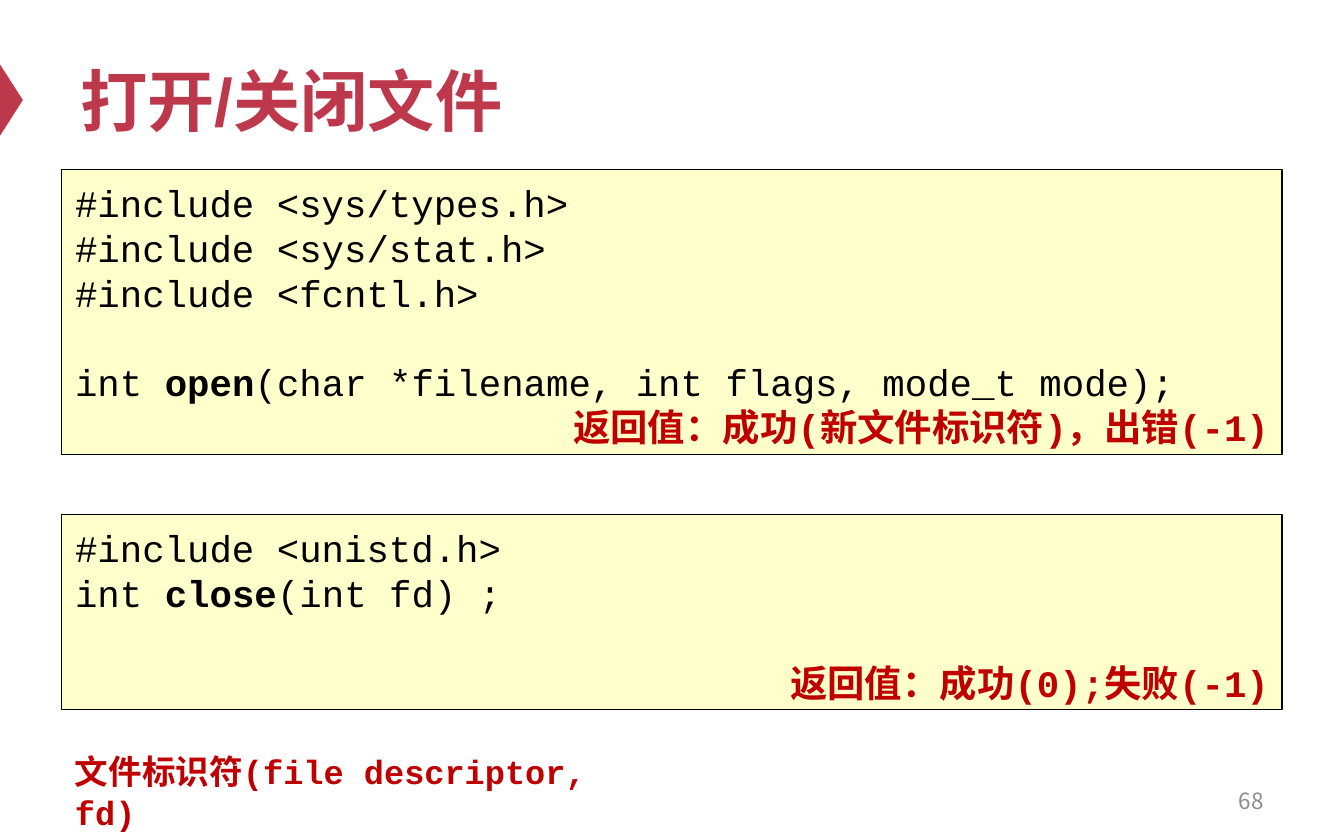
from dataclasses import dataclass

from lxml import etree
from pptx import Presentation
from pptx.dml.color import RGBColor
from pptx.enum.shapes import MSO_SHAPE
from pptx.enum.text import MSO_ANCHOR, PP_ALIGN
from pptx.oxml.ns import qn
from pptx.util import Inches, Pt

TRIANGLE, RECT = MSO_SHAPE.ISOSCELES_TRIANGLE, MSO_SHAPE.RECTANGLE
LEFT, RIGHT = PP_ALIGN.LEFT, PP_ALIGN.RIGHT
TOP, MIDDLE = MSO_ANCHOR.TOP, MSO_ANCHOR.MIDDLE


@dataclass(frozen=True)
class Theme:
    accent: RGBColor = RGBColor(0xBE, 0x38, 0x4B)
    panel: RGBColor = RGBColor(0xFF, 0xFF, 0xCC)
    ink: RGBColor = RGBColor(0, 0, 0)
    result: RGBColor = RGBColor(0xC0, 0, 0)
    muted: RGBColor = RGBColor(0x8C, 0x8C, 0x8C)
    sans: str = "Arial"
    mono: str = "Courier New"
    chinese: str = "Noto Sans CJK SC"
    title: int = 36
    code: int = 20
    code_line: int = 24
    note: int = 18
    number: int = 12


THEME = Theme()


def style(p, font, size, color, bold=None, align=LEFT):
    p.alignment = align
    p.font.name = font
    p.font.size = Pt(size)
    p.font.color.rgb = color
    p.font.bold = bold
    ea = etree.SubElement(p._p.pPr.find(qn("a:defRPr")), qn("a:ea"))
    ea.set("typeface", THEME.chinese)


def add_label(s, box, text, anchor, *look):
    tf = s.shapes.add_textbox(*map(Inches, box)).text_frame
    tf.word_wrap = True
    tf.vertical_anchor = anchor
    p = tf.paragraphs[0]
    p.text = text
    style(p, *look)


def add_plain_shape(s, kind, box, fill):
    sp = s.shapes.add_shape(kind, *map(Inches, box))
    sp.shadow.inherit = False
    sp.fill.solid()
    sp.fill.fore_color.rgb = fill
    sp.line.fill.background()
    return sp


def add_header(s, box, text):
    left, top, width, height = box
    marker = add_plain_shape(s, TRIANGLE, (left - 0.68, top + 0.41, 0.53, 0.17), THEME.accent)
    marker.rotation = 90
    add_label(s, box, text, MIDDLE, THEME.sans, THEME.title, THEME.accent, True)


def add_code_panel(s, box, includes, signature, result, gap_before):
    sp = add_plain_shape(s, RECT, box, THEME.panel)
    sp.line.color.rgb = THEME.ink
    sp.line.width = Pt(0.75)
    tf = sp.text_frame
    tf.word_wrap = True
    tf.vertical_anchor = TOP
    tf.margin_top = Inches(0.08)

    lines = [[header] for header in includes] + [signature, [result]]
    for i, parts in enumerate(lines):
        p = tf.add_paragraph() if i else tf.paragraphs[0]
        p.line_spacing = Pt(THEME.code_line)
        if i == gap_before:
            p.space_before = Pt(THEME.code_line)
        for j, part in enumerate(parts):
            r = p.add_run()
            r.text = part
            if j == 1:
                r.font.bold = True
        if i == len(lines) - 1:
            style(p, THEME.mono, THEME.code, THEME.result, True, RIGHT)
        else:
            style(p, THEME.mono, THEME.code, THEME.ink)


def main():
    prs = Presentation()
    prs.slide_width, prs.slide_height = Inches(10), Inches(6.25)
    s = prs.slides.add_slide(prs.slide_layouts[6])

    add_header(s, (0.5, 0.25, 9, 0.98), "打开/关闭文件")
    add_code_panel(
        s, (0.46, 1.26, 9.08, 2.12),
        ["#include <sys/types.h>", "#include <sys/stat.h>", "#include <fcntl.h>"],
        ["int ", "open", "(char *filename, int flags, mode_t mode);"],
        "返回值：成功(新文件标识符)，出错(-1)", gap_before=3)
    add_code_panel(
        s, (0.46, 3.83, 9.08, 1.45),
        ["#include <unistd.h>"],
        ["int ", "close", "(int fd) ;"],
        "返回值：成功(0);失败(-1)", gap_before=2)
    add_label(s, (0.46, 5.54, 4.37, 0.71), "文件标识符(file descriptor, fd)", TOP,
              THEME.mono, THEME.note, THEME.result, True)
    add_label(s, (7.17, 5.79, 2.33, 0.33), "68", MIDDLE,
              THEME.chinese, THEME.number, THEME.muted, False, RIGHT)

    prs.save("out.pptx")


if __name__ == "__main__":
    main()
